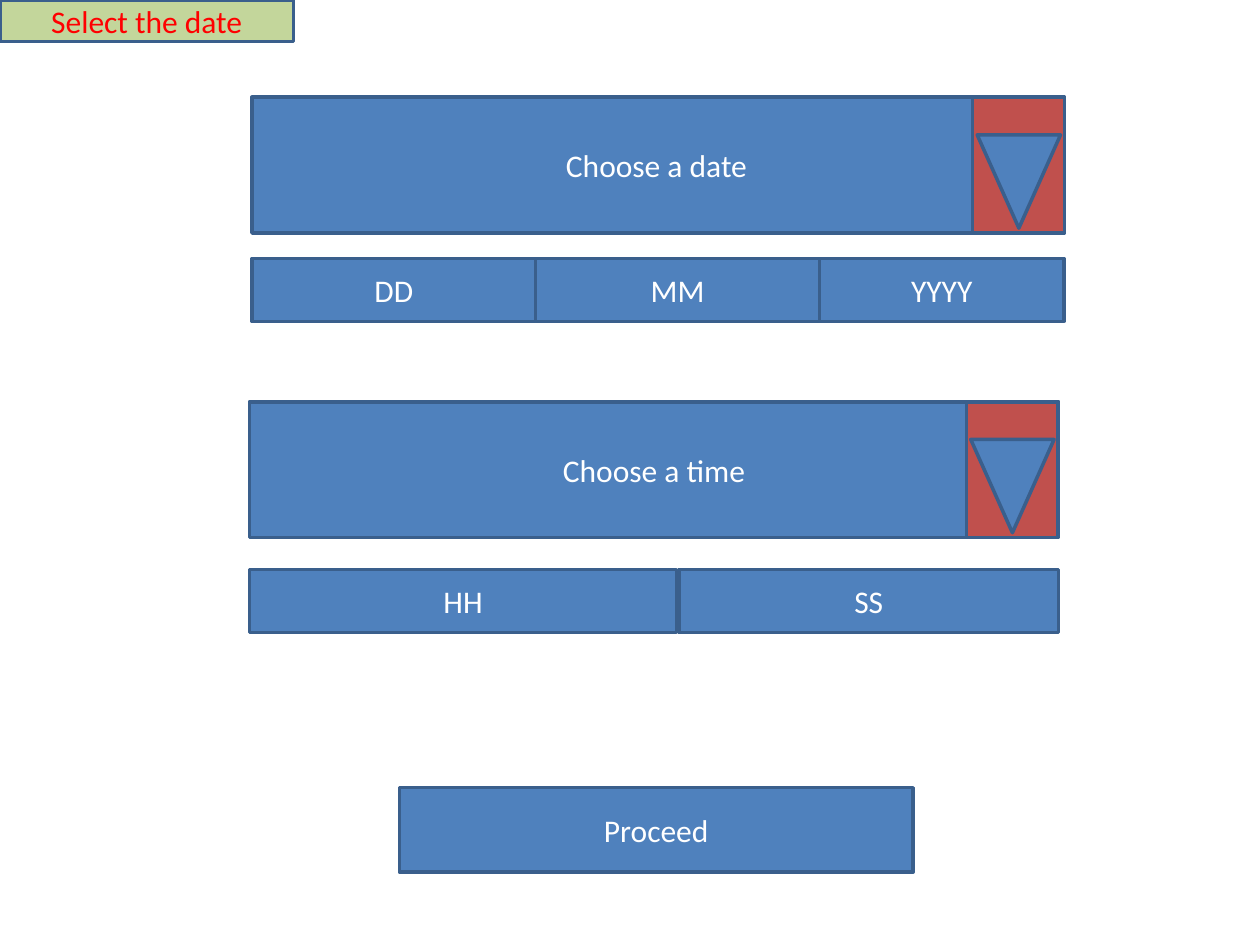
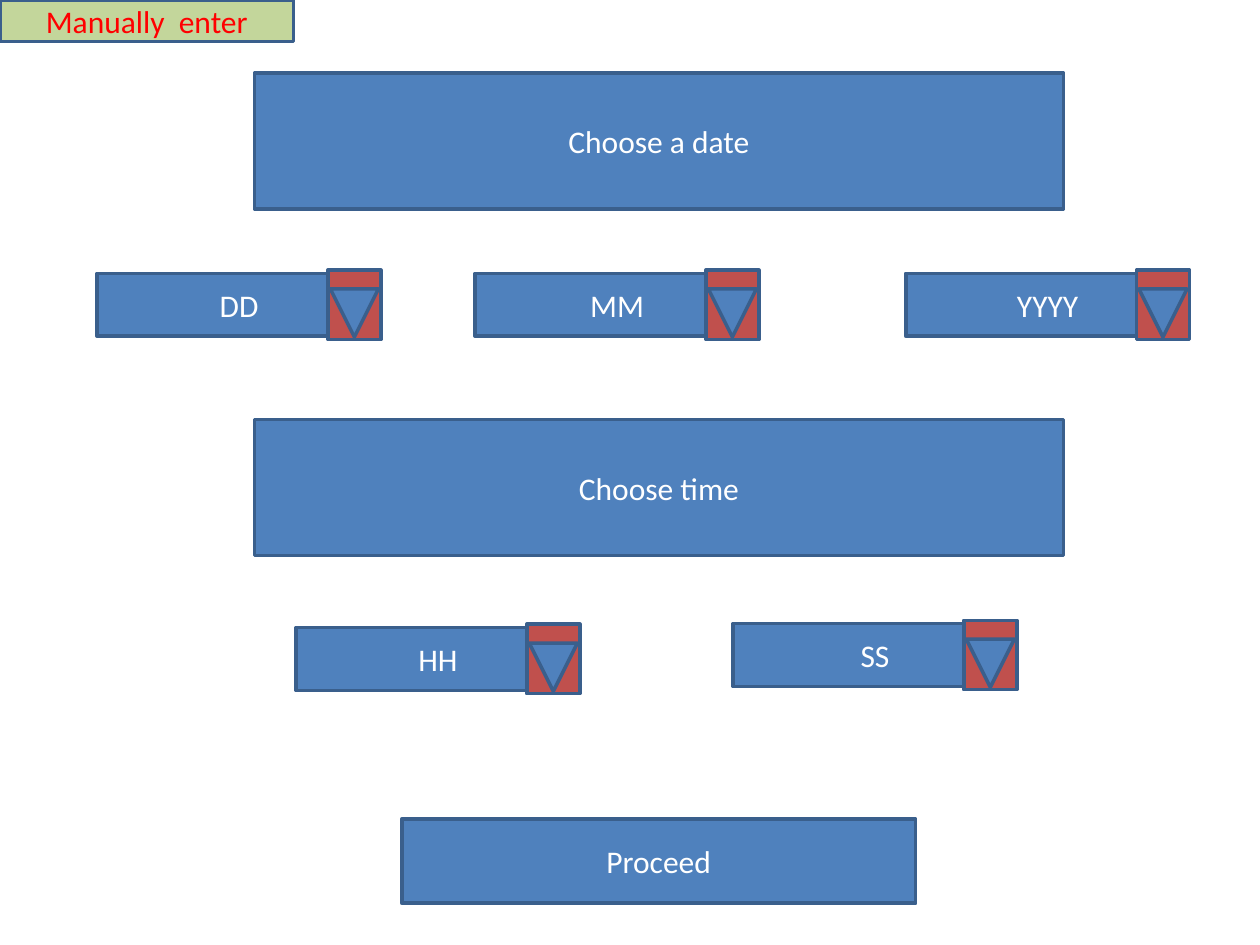
from dataclasses import dataclass

from pptx import Presentation
from pptx.dml.color import RGBColor
from pptx.enum.shapes import MSO_SHAPE
from pptx.enum.text import MSO_ANCHOR, MSO_AUTO_SIZE, PP_ALIGN
from pptx.shapes.base import BaseShape
from pptx.slide import Slide
from pptx.util import Cm, Pt

RECTANGLE = MSO_SHAPE.RECTANGLE
TRIANGLE = MSO_SHAPE.FLOWCHART_MERGE
CENTER = PP_ALIGN.CENTER
MIDDLE = MSO_ANCHOR.MIDDLE
NO_AUTOFIT = MSO_AUTO_SIZE.NONE

FONT = "Calibri"
TEXT_SIZE = 18
BLUE, OUTLINE, RED = "4F81BD", "3A5F8C", "C0504D"
TAG_GREEN, TAG_TEXT, WHITE = "C3D69B", "FF0000", "FFFFFF"
TITLE_ONLY = 5

# Sizes in centimetres
BAR_WIDTH, BAR_HEIGHT = 16.31, 2.74
FIELD_WIDTH, FIELD_HEIGHT = 5.72, 1.27
BUTTON_WIDTH, BUTTON_HEIGHT = 10.36, 1.7
TAG_WIDTH, TAG_HEIGHT = 5.92, 0.84


@dataclass(frozen=True)
class Area:
    left: float
    top: float
    width: float
    height: float


@dataclass(frozen=True)
class ArrowStyle:
    """Size of an arrow button and the triangle's place inside it."""
    width: float
    height: float
    triangle: Area


@dataclass(frozen=True)
class Field:
    text: str
    left: float
    top: float


LARGE_ARROW = ArrowStyle(1.85, BAR_HEIGHT, Area(0.09, 0.76, 1.68, 1.88))
SMALL_ARROW = ArrowStyle(1.07, 1.4, Area(0.05, 0.38, 0.97, 0.97))


def color(value: str) -> RGBColor:
    return RGBColor.from_string(value)


def paint(shape: BaseShape, fill: str) -> None:
    shape.fill.solid()
    shape.fill.fore_color.rgb = color(fill)
    shape.line.color.rgb = color(OUTLINE)
    shape.line.width = Pt(2)


def write(shape: BaseShape, text: str, text_color: str) -> None:
    frame = shape.text_frame
    frame.text = text
    frame.word_wrap = True
    frame.auto_size = NO_AUTOFIT
    frame.vertical_anchor = MIDDLE
    para = frame.paragraphs[0]
    para.alignment = CENTER
    para.font.name = FONT
    para.font.size = Pt(TEXT_SIZE)
    para.font.color.rgb = color(text_color)


def add_box(shapes, area: Area, text: str = "", fill: str = BLUE,
            kind: MSO_SHAPE = RECTANGLE) -> None:
    box = shapes.add_shape(kind, Cm(area.left), Cm(area.top),
                           Cm(area.width), Cm(area.height))
    box.shadow.inherit = False
    paint(box, fill)
    if text:
        write(box, text, WHITE)


def add_arrow(shapes, left: float, top: float, style: ArrowStyle) -> None:
    add_box(shapes, Area(left, top, style.width, style.height), fill=RED)
    inner = style.triangle
    add_box(shapes, Area(left + inner.left, top + inner.top,
                         inner.width, inner.height), kind=TRIANGLE)


def add_bar(page: Slide, text: str, left: float, top: float) -> None:
    add_box(page.shapes, Area(left, top, BAR_WIDTH, BAR_HEIGHT), text)


def add_row(page: Slide, left: float, top: float, gap: float,
            cells: dict[str, float]) -> None:
    """Draw fields side by side; cells maps each label to its width."""
    for text, width in cells.items():
        add_box(page.shapes, Area(left, top, width, FIELD_HEIGHT), text)
        left += width + gap


def add_dropdown(page: Slide, field: Field) -> None:
    group = page.shapes.add_group_shape()
    add_box(group.shapes,
            Area(field.left, field.top, FIELD_WIDTH, FIELD_HEIGHT), field.text)
    add_arrow(group.shapes, field.left + FIELD_WIDTH - SMALL_ARROW.width,
              field.top - (SMALL_ARROW.height - FIELD_HEIGHT) / 2, SMALL_ARROW)


def add_button(page: Slide, left: float, top: float) -> None:
    add_box(page.shapes, Area(left, top, BUTTON_WIDTH, BUTTON_HEIGHT), "Proceed")


def add_page(deck: Presentation, title: str) -> Slide:
    """Add a slide whose title is the green tag in the corner."""
    page = deck.slides.add_slide(deck.slide_layouts[TITLE_ONLY])
    tag = page.shapes.title
    tag.left, tag.top = Cm(0), Cm(0)
    tag.width, tag.height = Cm(TAG_WIDTH), Cm(TAG_HEIGHT)
    paint(tag, TAG_GREEN)
    write(tag, title, TAG_TEXT)
    return page


def build_select_page(deck: Presentation) -> None:
    page = add_page(deck, "Select the date")
    # Date and time bars, each with a large arrow
    for text, left, top, arrow_left in (("Choose a date", 5.08, 1.96, 19.61),
                                        ("Choose a time", 5.03, 8.1, 19.48)):
        add_bar(page, text, left, top)
        arrow = page.shapes.add_group_shape()
        add_arrow(arrow.shapes, arrow_left, top, LARGE_ARROW)
    # Joined entry fields
    add_row(page, 5.08, 5.21, 0,
            {"DD": FIELD_WIDTH, "MM": FIELD_WIDTH, "YYYY": 4.93})
    add_row(page, 5.03, 11.48, 0.05, {"HH": 8.61, "SS": 7.65})
    add_button(page, 8.05, 15.88)


def build_manual_page(deck: Presentation) -> None:
    page = add_page(deck, "Manually  enter")
    add_bar(page, "Choose a date", 5.13, 1.47)
    add_bar(page, "Choose time", 5.13, 8.46)
    # Separate fields, each with a small arrow
    for field in (Field("DD", 1.96, 5.51), Field("MM", 9.58, 5.51),
                  Field("YYYY", 18.26, 5.51), Field("HH", 5.97, 12.65),
                  Field("SS", 14.78, 12.57)):
        add_dropdown(page, field)
    add_button(page, 8.1, 16.51)


def main() -> None:
    deck = Presentation()
    deck.slide_width, deck.slide_height = Cm(25.4), Cm(19.05)
    build_select_page(deck)
    build_manual_page(deck)
    deck.save("out.pptx")


main()
